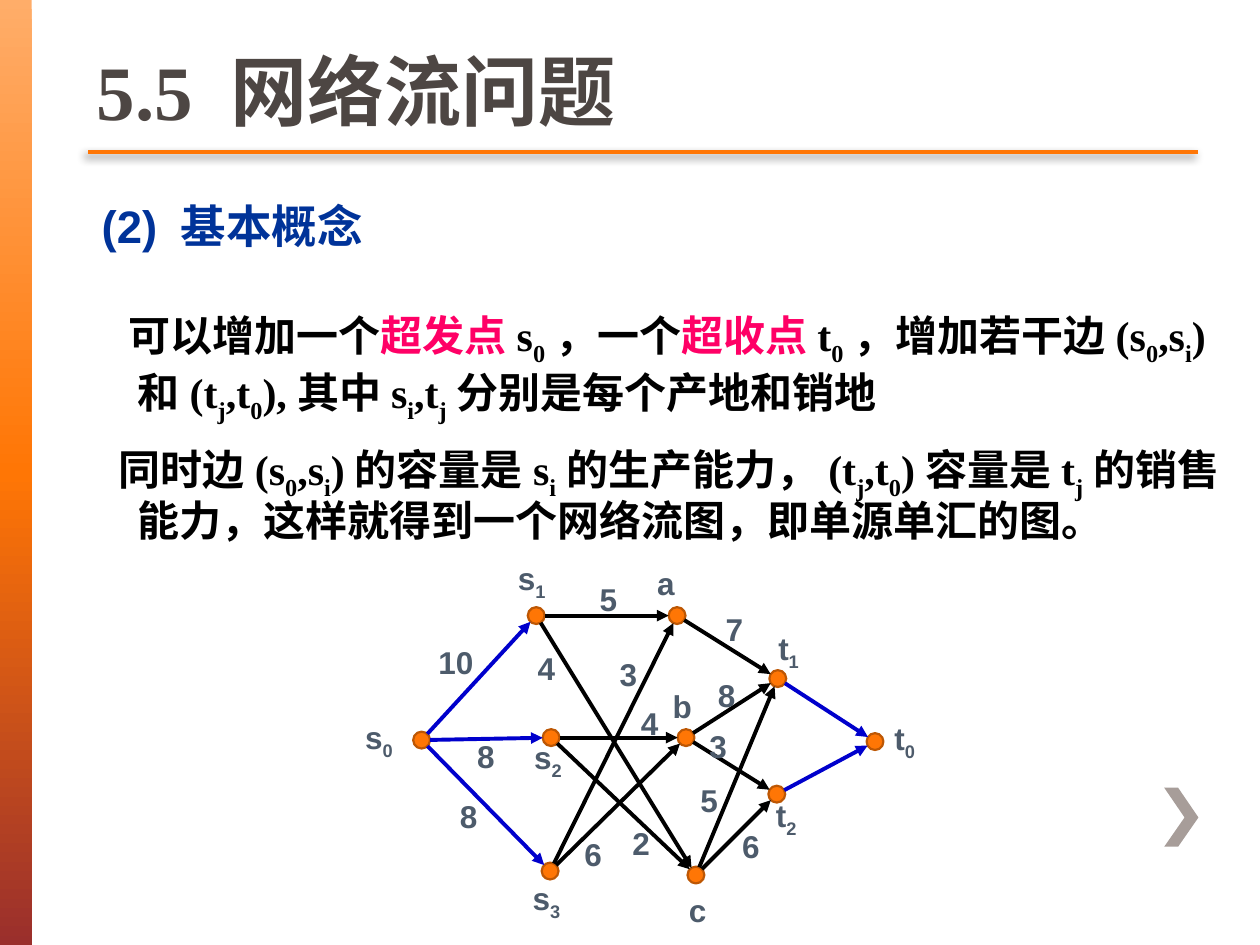
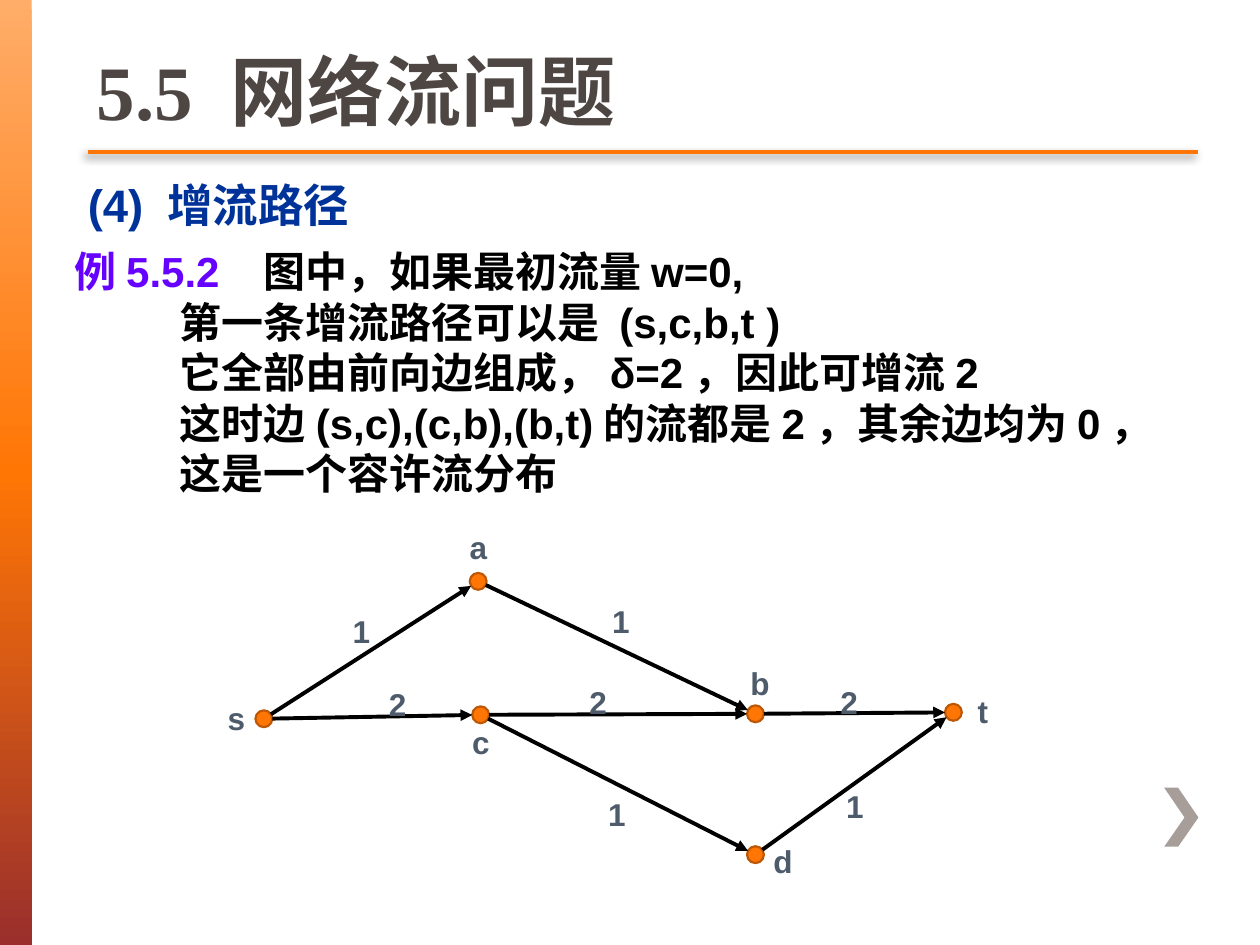
import math
from copy import deepcopy
from dataclasses import dataclass

from lxml import etree
from pptx import Presentation
from pptx.dml.color import RGBColor
from pptx.enum import shapes as kinds, text as txt
from pptx.oxml import ns
from pptx.util import Cm, Pt


@dataclass(frozen=True)
class Theme:
    orange: str = "FF7605"
    node_edge: str = "BD5704"
    chevron: str = "A79D99"
    title: str = "4D4643"
    title_outline: str = "675D59"
    heading: str = "003399"
    ink: str = "000000"
    key_term: str = "FF0066"
    example: str = "6600FF"
    label: str = "4D5B6B"
    added_edge: str = "0000CC"
    band: tuple = ((0, "FFAD69"), (0.5, "FF7605"), (1, "9A2F2C"))
    serif: str = "Times New Roman"
    sans: str = "Arial"
    title_size: int = 44
    heading_size: int = 26
    body_size: int = 24
    label_size: int = 18


THEME = Theme()
NODE_RADIUS = 0.17


@dataclass(frozen=True)
class Node:
    """Centre and top-left corner of the label, in centimetres."""
    name: str
    x: float
    y: float
    label_x: float
    label_y: float


@dataclass(frozen=True)
class Edge:
    start: str
    end: str
    weight: str = ""
    x: float = 0
    y: float = 0
    color: str = THEME.ink


SUPER_NODES = [
    Node("s_0", 8.5, 14.92, 7.11, 14.35),
    Node("s_1", 10.81, 12.41, 10.19, 11.15),
    Node("s_2", 11.11, 14.87, 10.52, 14.76),
    Node("s_3", 11.09, 17.56, 10.49, 17.6),
    Node("a", 13.65, 12.41, 13, 11.25),
    Node("b", 13.83, 14.87, 13.31, 13.72),
    Node("c", 14.03, 17.64, 13.64, 17.83),
    Node("t_1", 15.68, 13.68, 15.44, 12.55),
    Node("t_2", 15.66, 16.01, 15.39, 15.93),
    Node("t_0", 17.64, 14.95, 17.78, 14.38),
]
SUPER_EDGES = [
    Edge("s_0", "s_1", "10", 8.59, 12.83, THEME.added_edge),
    Edge("s_0", "s_2", "8", 9.37, 14.73, THEME.added_edge),
    Edge("s_0", "s_3", "8", 9.02, 15.95, THEME.added_edge),
    Edge("t_1", "t_0", color=THEME.added_edge),
    Edge("t_2", "t_0", color=THEME.added_edge),
    Edge("s_1", "a", "5", 11.84, 11.56),
    Edge("s_1", "c", "4", 10.59, 12.95),
    Edge("s_2", "b", "4", 12.67, 14.07),
    Edge("s_2", "c", "2", 12.5, 16.48),
    Edge("s_3", "a", "3", 12.24, 13.08),
    Edge("s_3", "b", "6", 11.53, 16.71),
    Edge("a", "t_1", "7", 14.38, 12.17),
    Edge("b", "t_1", "8", 14.22, 13.51),
    Edge("b", "t_2", "3", 14.05, 14.53),
    Edge("c", "t_1", "5", 13.87, 15.62),
    Edge("c", "t_2", "6", 14.71, 16.54),
]
PATH_NODES = [
    Node("s", 5.32, 14.49, 4.34, 13.97),
    Node("a", 9.64, 11.72, 9.22, 10.52),
    Node("c", 9.69, 14.41, 9.27, 14.45),
    Node("b", 15.23, 14.39, 14.88, 13.26),
    Node("d", 15.23, 17.23, 15.34, 16.84),
    Node("t", 19.22, 14.36, 19.46, 13.82),
]
PATH_EDGES = [
    Edge("s", "a", "1", 6.86, 12.22),
    Edge("s", "c", "2", 7.59, 13.69),
    Edge("a", "b", "1", 12.09, 12.01),
    Edge("c", "b", "2", 11.63, 13.64),
    Edge("c", "d", "1", 12.01, 15.9),
    Edge("b", "t", "2", 16.69, 13.64),
    Edge("d", "t", "1", 16.81, 15.75),
]


def rgb(color: str) -> RGBColor:
    return RGBColor.from_string(color)


def add_xml(parent, tag: str, **attributes):
    child = etree.SubElement(parent, ns.qn(tag))
    for name, value in attributes.items():
        child.set(name, str(value))
    return child


def place(item, left: float, top: float, width: float, height: float) -> None:
    item.left, item.top, item.width, item.height = map(Cm, (left, top, width, height))


def write(frame, text: str, *, size: int, color: str, font: str = THEME.sans,
          accent: str = THEME.key_term, left: float = 0, indent: float = 0,
          after: float = 0, line: float = 1, tab: float = 0):
    """Add a paragraph; *text* takes the accent colour, _x makes x a subscript."""
    paragraph = frame.paragraphs[0]
    if paragraph.runs:
        paragraph = frame.add_paragraph()
    paragraph.alignment = txt.PP_ALIGN.LEFT
    paragraph.line_spacing = line
    paragraph.space_before, paragraph.space_after = Pt(0), Pt(after)
    props = paragraph._p.get_or_add_pPr()
    props.set("marL", str(Cm(left)))
    props.set("indent", str(Cm(indent)))
    add_xml(props, "a:buNone")
    if tab:
        add_xml(add_xml(props, "a:tabLst"), "a:tab", pos=Cm(tab), algn="l")

    def add_run(content: str, run_color: str, subscript: bool = False) -> None:
        if not content:
            return
        run = paragraph.add_run()
        run.text = content
        run.font.size, run.font.bold, run.font.name = Pt(size), True, font
        run.font.color.rgb = rgb(run_color)
        if subscript:
            run._r.get_or_add_rPr().set("baseline", "-25000")

    for number, piece in enumerate(text.split("*")):
        piece_color = accent if number % 2 else color
        first, *rest = piece.split("_")
        add_run(first, piece_color)
        for part in rest:
            add_run(part[0], piece_color, subscript=True)
            add_run(part[1:], piece_color)
    return paragraph


def add_line(slide, x1: float, y1: float, x2: float, y2: float, color: str, width: float):
    """Draw a line and return it with its effect list, which starts empty."""
    line = slide.shapes.add_connector(kinds.MSO_CONNECTOR.STRAIGHT, *map(Cm, (x1, y1, x2, y2)))
    line.line.color.rgb, line.line.width = rgb(color), Pt(width)
    return line, add_xml(line.element.spPr, "a:effectLst")


def decorate_layout(layout, slide) -> None:
    """Draw the side band, chevron and title rule, then move them to the layout."""
    band = slide.shapes.add_shape(kinds.MSO_SHAPE.RECTANGLE, 0, 0, Cm(0.64), Cm(19.05))
    band.shadow.inherit = False
    band.line.fill.background()
    band.fill.gradient()
    band.fill.gradient_angle = 270
    stop_list = band.element.spPr.find(".//" + ns.qn("a:gsLst"))
    stop_list.append(deepcopy(stop_list[0]))
    for stop, (position, color) in zip(band.fill.gradient_stops, THEME.band):
        stop.position, stop.color.rgb = position, rgb(color)

    corners = [(23.75, 15.88), (23.47, 15.88), (23.88, 16.48),
               (23.47, 17.07), (23.75, 17.07), (24.16, 16.48)]
    start, *others = [(Cm(x), Cm(y)) for x, y in corners]
    outline = slide.shapes.build_freeform(*start)
    outline.add_line_segments(others, close=True)
    chevron = outline.convert_to_shape()
    chevron.shadow.inherit = False
    chevron.fill.solid()
    chevron.fill.fore_color.rgb = rgb(THEME.chevron)
    chevron.line.fill.background()

    rule, effects = add_line(slide, 1.78, 3.07, 24.16, 3.07, THEME.orange, 2.5)
    shadow = add_xml(effects, "a:outerShdw", blurRad=Pt(5), dist=Pt(3),
                     dir=135 * 60000, algn="tl", rotWithShape=0)
    add_xml(add_xml(shadow, "a:srgbClr", val="000000"), "a:alpha", val=45000)

    for position, part in enumerate((band, chevron, rule), start=2):
        layout.shapes.element.insert(position, part.element)


def add_title(slide) -> None:
    title = slide.shapes.title
    place(title, 1.7, 0, 22.38, 2.87)
    frame = title.text_frame
    frame.vertical_anchor = txt.MSO_ANCHOR.BOTTOM
    frame.auto_size = txt.MSO_AUTO_SIZE.NONE
    paragraph = write(frame, "5.5 网络流问题", size=THEME.title_size,
                      color=THEME.title, font=THEME.serif)
    run_props = paragraph.runs[0]._r.get_or_add_rPr()
    outline = add_xml(run_props, "a:ln", w=Pt(1))
    add_xml(add_xml(outline, "a:solidFill"), "a:srgbClr", val=THEME.title_outline)
    run_props.insert(0, outline)


def add_heading(slide, text: str, left: float, top: float) -> None:
    box = slide.shapes.add_textbox(*map(Cm, (left, top, 13.84, 1.24)))
    box.text_frame.word_wrap = True
    write(box.text_frame, text, size=THEME.heading_size, color=THEME.heading,
          left=0.25, line=0.9)


def open_body(slide, left: float, top: float, width: float, height: float):
    body = slide.placeholders[1]
    place(body, left, top, width, height)
    body.text_frame.auto_size = txt.MSO_AUTO_SIZE.NONE
    return body.text_frame


def add_label(slide, text: str, left: float, top: float) -> None:
    width = 0.86 + 0.45 * (len(text.replace("_", "")) - 1)
    box = slide.shapes.add_textbox(*map(Cm, (left, top, width, 1.02)))
    box.text_frame.word_wrap = False
    write(box.text_frame, text, size=THEME.label_size, color=THEME.label)


def add_network(slide, nodes: list[Node], edges: list[Edge]) -> None:
    by_name = {node.name: node for node in nodes}
    for node in nodes:
        dot = slide.shapes.add_shape(
            kinds.MSO_SHAPE.OVAL, Cm(node.x - NODE_RADIUS), Cm(node.y - NODE_RADIUS),
            Cm(2 * NODE_RADIUS), Cm(2 * NODE_RADIUS))
        dot.shadow.inherit = False
        dot.fill.solid()
        dot.fill.fore_color.rgb = rgb(THEME.orange)
        dot.line.color.rgb, dot.line.width = rgb(THEME.node_edge), Pt(1.25)
        add_label(slide, node.name, node.label_x, node.label_y)
    for edge in edges:
        start, end = by_name[edge.start], by_name[edge.end]
        angle = math.atan2(end.y - start.y, end.x - start.x)
        dx, dy = NODE_RADIUS * math.cos(angle), NODE_RADIUS * math.sin(angle)
        arrow, _ = add_line(slide, start.x + dx, start.y + dy, end.x - dx, end.y - dy,
                            edge.color, 2.25)
        add_xml(arrow.line._get_or_add_ln(), "a:tailEnd", type="triangle")
        if edge.weight:
            add_label(slide, edge.weight, edge.x, edge.y)


def fill_concepts(slide) -> None:
    add_heading(slide, "(2) 基本概念", 1.55, 3.99)
    frame = open_body(slide, 1.55, 4.55, 23.62, 13.39)
    frame.margin_top = Cm(1.69)
    style = dict(size=THEME.body_size, color=THEME.ink, font=THEME.serif, left=0.97)
    write(frame, "可以增加一个*超发点*s_0，一个*超收点*t_0，增加若干边(s_0,s_i)"
          "和(t_j,t_0),其中s_i,t_j分别是每个产地和销地", indent=-0.18, after=11, **style)
    write(frame, "同时边(s_0,s_i)的容量是s_i的生产能力，(t_j,t_0)容量是t_j的销售能力，"
          "这样就得到一个网络流图，即单源单汇的图。", indent=-0.38, line=0.95, **style)
    add_network(slide, SUPER_NODES, SUPER_EDGES)


def fill_augmenting_path(slide) -> None:
    add_heading(slide, "(4) 增流路径", 1.27, 3.56)
    frame = open_body(slide, 1.24, 4.83, 24.2, 5.33)
    style = dict(size=THEME.body_size, color=THEME.ink)
    write(frame, "*例5.5.2*\t图中，如果最初流量w=0,", accent=THEME.example, tab=3.42, **style)
    for step in ("第一条增流路径可以是 (s,c,b,t )",
                 "它全部由前向边组成，δ=2，因此可增流2",
                 "这时边(s,c),(c,b),(b,t)的流都是2，其余边均为0，",
                 "这是一个容许流分布"):
        write(frame, step, left=2.13, **style)
    add_network(slide, PATH_NODES, PATH_EDGES)


def main() -> None:
    prs = Presentation()
    prs.slide_width, prs.slide_height = Cm(25.4), Cm(19.05)
    layout = prs.slide_layouts[1]
    for number, fill in enumerate((fill_concepts, fill_augmenting_path)):
        slide = prs.slides.add_slide(layout)
        if number == 0:
            decorate_layout(layout, slide)
        add_title(slide)
        fill(slide)
    prs.save("out.pptx")


if __name__ == "__main__":
    main()
